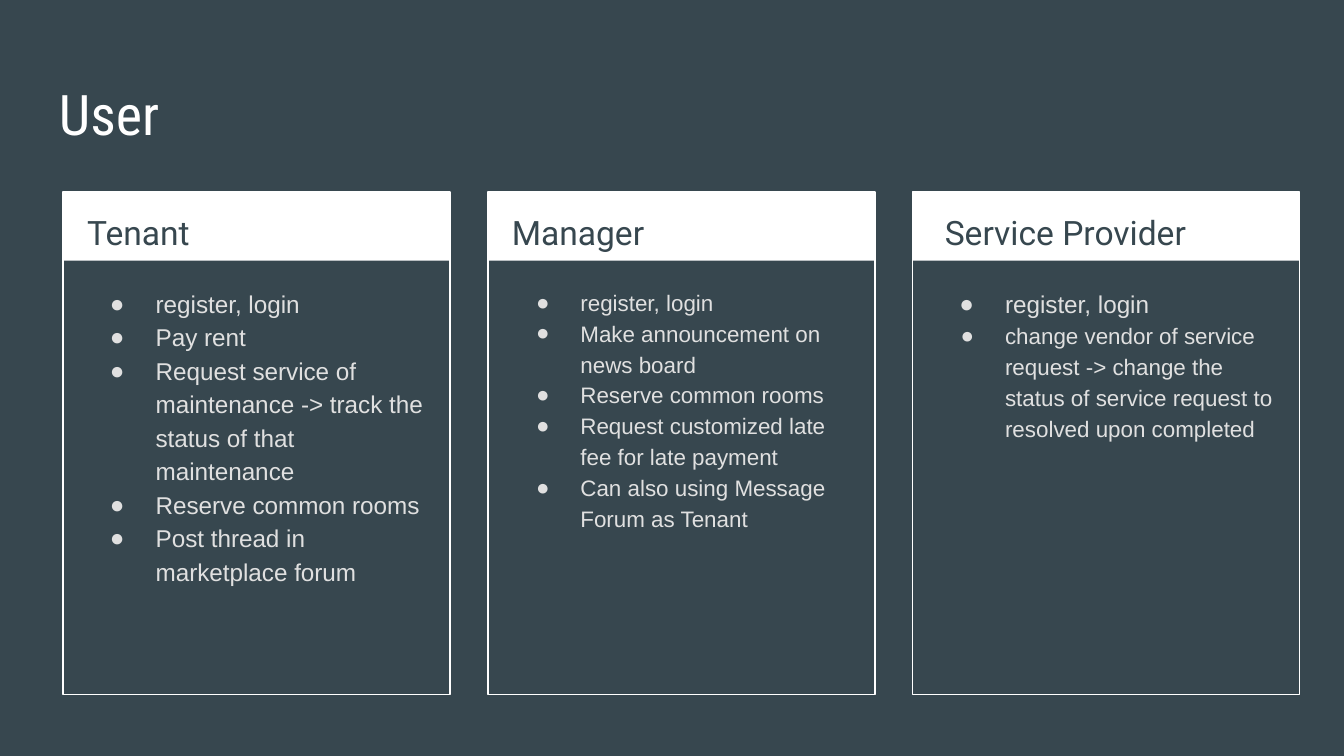
import pptx
import pptx.dml.color
import pptx.enum.shapes
import pptx.enum.text
import pptx.oxml
import pptx.oxml.ns
import pptx.util

# Content: heading and (text, size) bullets per user role
TITLE = "User"
ROLES = [
    ("Tenant", [
        ("register, login", 13),
        ("Pay rent", 13),
        ("Request service of maintenance -> track the status of that maintenance", 13),
        ("Reserve common rooms", 13),
        ("Post thread in marketplace forum", 13),
    ]),
    ("Manager", [
        ("register, login", 12),
        ("Make announcement on news board", 12),
        ("Reserve common rooms", 12),
        ("Request customized late fee for late payment", 12),
        ("Can also using Message Forum as Tenant", 12),
    ]),
    (" Service Provider", [
        ("register, login", 13),
        ("change vendor of service request -> change the status of "
         "service request to resolved upon completed", 12),
    ]),
]

SLATE, WHITE, PALE = "37474F", "FFFFFF", "E0E0E0"

# Grid, in inches, on a 16:9 slide
SLIDE_W = 10
SLIDE_H = SLIDE_W * 9 / 16
CARD_LEFT, CARD_TOP, CARD_PITCH = 0.47, 1.43, 3.16
CARD_W, CARD_H, BAND_H = 2.88, 3.74, 0.51
HEADING_PAD, HEADING_W, HEADING_H = 0.08, 2.73, 0.5
DUTIES_PAD, DUTIES_TOP, DUTIES_W, DUTIES_H = 0.09, 2.02, 2.71, 3.06
INSET = 0.1
BULLET_INDENT = 0.5
BULLET_HANG = {13: 0.34, 12: 0.33}


def color(hex_code):
    return pptx.dml.color.RGBColor.from_string(hex_code)


def inches(*lengths):
    return [pptx.util.Inches(length) for length in lengths]


def add_rect(left, top, width, height, fill=None, line=None):
    rect = slide.shapes.add_shape(pptx.enum.shapes.MSO_SHAPE.RECTANGLE,
                                  *inches(left, top, width, height))
    rect.shadow.inherit = False
    if fill:
        rect.fill.solid()
        rect.fill.fore_color.rgb = color(fill)
    else:
        rect.fill.background()
    if line:
        rect.line.color.rgb = color(line)
        rect.line.width = pptx.util.Pt(0.75)
    else:
        rect.line.fill.background()


def add_frame(left, top, width, height):
    frame = slide.shapes.add_textbox(*inches(left, top, width, height)).text_frame
    frame.word_wrap = True
    frame.vertical_anchor = pptx.enum.text.MSO_ANCHOR.TOP
    frame.margin_left = frame.margin_right = pptx.util.Inches(INSET)
    frame.margin_top = frame.margin_bottom = pptx.util.Inches(INSET)
    return frame


def write(paragraph, text, size, font, ink, spacing=1.15, indent=0, hang=0):
    run = paragraph.add_run()
    run.text = text
    run.font.size = pptx.util.Pt(size)
    run.font.name = font
    run.font.color.rgb = color(ink)
    paragraph.line_spacing = spacing
    if hang:
        properties = paragraph._p.get_or_add_pPr()
        properties.set("marL", str(pptx.util.Inches(indent)))
        properties.set("indent", str(pptx.util.Inches(-hang)))
        namespace = pptx.oxml.ns.nsdecls("a")
        for bullet in (f'<a:buClr {namespace}><a:srgbClr val="{ink}"/></a:buClr>',
                       f'<a:buFont {namespace} typeface="{font}"/>',
                       f'<a:buChar {namespace} char="●"/>'):
            properties.append(pptx.oxml.parse_xml(bullet))


presentation = pptx.Presentation()
presentation.slide_width, presentation.slide_height = inches(SLIDE_W, SLIDE_H)
slide = presentation.slides.add_slide(presentation.slide_layouts[6])
slide.background.fill.solid()
slide.background.fill.fore_color.rgb = color(SLATE)

# Title
title = add_frame(0.34, 0.49, 9.32, 0.63)
write(title.paragraphs[0], TITLE, 30, "Roboto Condensed", WHITE, spacing=1)

# One card per role
for column, (role, duties) in enumerate(ROLES):
    left = CARD_LEFT + column * CARD_PITCH
    add_rect(left, CARD_TOP, CARD_W, BAND_H, fill=WHITE)
    add_rect(left, CARD_TOP, CARD_W, CARD_H, line=WHITE)

    heading = add_frame(left + HEADING_PAD, CARD_TOP, HEADING_W, HEADING_H)
    write(heading.paragraphs[0], role, 18, "Roboto", SLATE)

    duty_list = add_frame(left + DUTIES_PAD, DUTIES_TOP, DUTIES_W, DUTIES_H)
    for row, (duty, size) in enumerate(duties):
        paragraph = duty_list.add_paragraph() if row else duty_list.paragraphs[0]
        write(paragraph, duty, size, "Arial", PALE,
              indent=BULLET_INDENT, hang=BULLET_HANG[size])

presentation.save("out.pptx")
